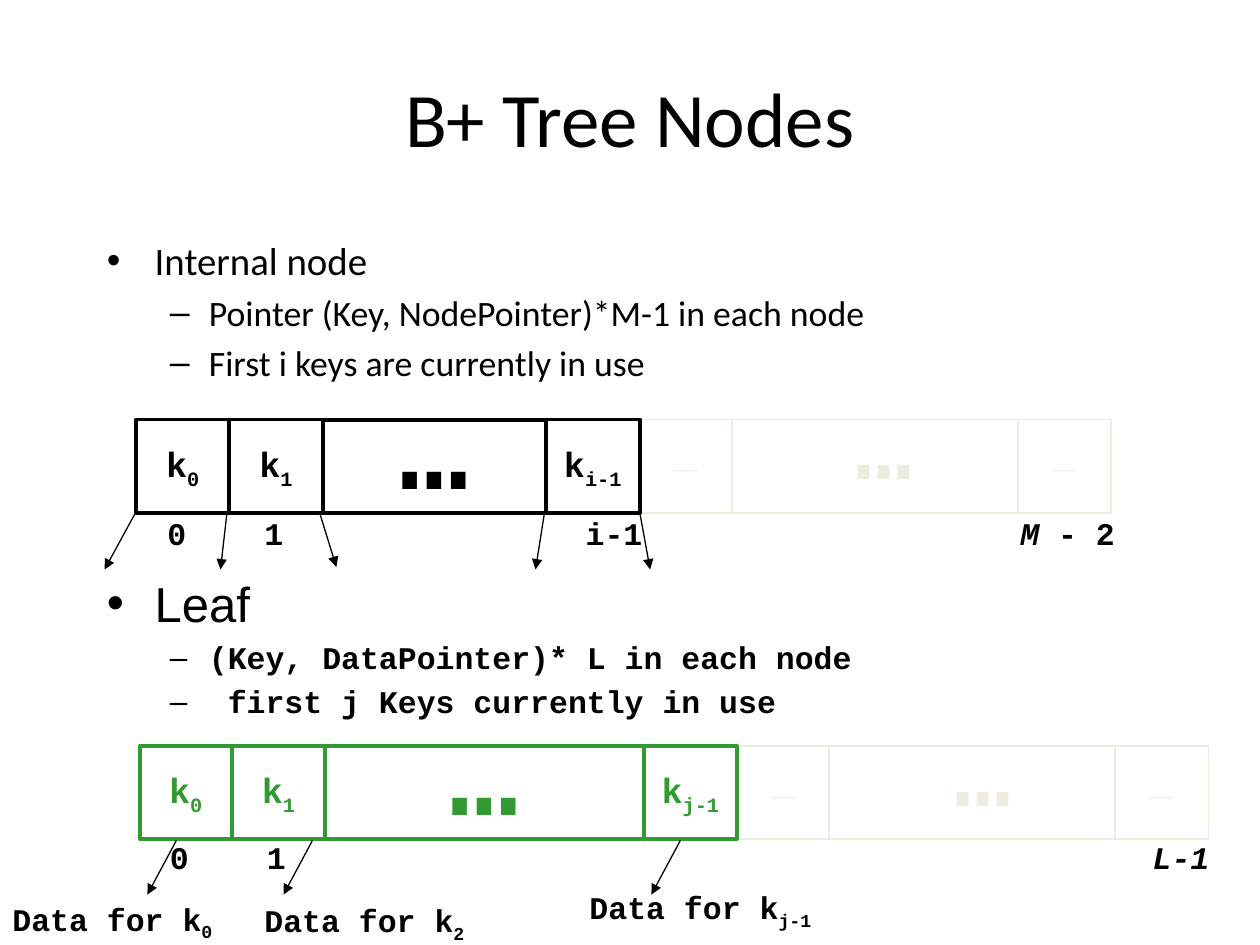
from itertools import pairwise

from lxml.etree import SubElement
from pptx import Presentation
from pptx.dml.color import RGBColor
from pptx.enum.shapes import MSO_CONNECTOR, MSO_SHAPE
from pptx.enum.text import MSO_ANCHOR, PP_ALIGN
from pptx.oxml.ns import qn
from pptx.util import Inches, Pt

COLORS = {"ink": "000000", "leaf": "339933", "unused": "EEECE1"}
MONO = "Courier New"
CELL_HEIGHT = 0.74

TITLE = "B+ Tree Nodes"

# Each bullet: level, text, font, size, bold
BULLET_LISTS = [
    ((0.75, 1.83, 9, 1.17), [
        (0, "Internal node", "Calibri", 22.2, False),
        (1, "Pointer (Key, NodePointer)*M-1 in each node", "Calibri", 20.4, False),
        (1, "First i keys are currently in use", "Calibri", 20.4, False),
    ]),
    ((0.75, 4.5, 8.5, 1.17), [
        (0, "Leaf", "Arial", 28, False),
        (1, "(Key, DataPointer)* L in each node", MONO, 18, True),
        (1, " first j Keys currently in use", MONO, 18, True),
    ]),
]
BULLETS = [("•", 0.38, 0.38), ("–", 0.81, 0.31)]  # character, indent, hanging

# Each cell: key subscript, "…" for a gap or "__" for an unused slot; then the
# sides drawn over its outline: Left, Right, Top, Bottom
NODES = [
    {"top": 3.33, "color": "ink", "unused_line": 1,
     "used": [("0", "LRB"), ("1", ""), ("…", "LRTB"), ("i-1", "")],
     "edges": [1.08, 1.82, 2.56, 4.33, 5.08, 5.81, 8.08, 8.82]},
    {"top": 5.92, "color": "leaf", "unused_line": 0.75,
     "used": [("0", "LTB"), ("1", "LTB"), ("…", "LTB"), ("j-1", "LRTB")],
     "edges": [1.11, 1.84, 2.58, 5.11, 5.85, 6.58, 8.85, 9.59]},
]
UNUSED = [("__", "LRTB"), ("…", "TB"), ("__", "LRTB")]

# Each label: left, top, width, runs of (text, format)
ITALIC = {"italic": True}
LABELS = [
    (1.23, 4.03, 0.35, [("0", {})]),
    (2, 4.03, 0.35, [("1", {})]),
    (4.55, 4.03, 0.66, [("i-1", {})]),
    (8, 4.03, 0.97, [("M ", ITALIC), ("- 2", {})]),
    (1.25, 6.6, 0.35, [("0", {})]),
    (2.02, 6.6, 0.35, [("1", {})]),
    (9.05, 6.6, 0.67, [("L-1", ITALIC)]),
]
DATA_LABELS = [(0, 7.09, 1.82, "0"), (2, 7.1, 1.82, "2"), (4.58, 7, 2.02, "j-1")]

NODE_POINTERS = [  # x at the node, x and y at the arrowhead
    (1.07, 0.83, 4.52), (1.8, 1.75, 4.52), (2.54, 2.67, 4.5),
    (4.32, 4.25, 4.52), (5.08, 5.16, 4.52),
]
DATA_POINTERS = [(x, x - 0.23, 7.1) for x in (1.4, 2.48, 5.4)]


def add_run(paragraph, text, color="ink", baseline=0, **format_values):
    run = paragraph.add_run()
    run.text = text
    values = {"name": MONO, "size": 18, "bold": True} | format_values
    values["size"] = Pt(values["size"])
    for attribute, value in values.items():
        setattr(run.font, attribute, value)
    run.font.color.rgb = RGBColor.from_string(COLORS[color])
    if baseline:
        run.font._element.set("baseline", str(baseline * 1000))


def add_text_box(slide, left, top, width, height, wrap=True):
    box = slide.shapes.add_textbox(*map(Inches, (left, top, width, height)))
    box.text_frame.word_wrap = wrap
    return box.text_frame


def add_title(slide):
    frame = add_text_box(slide, 0.5, 0.3, 9, 1.25)
    frame.vertical_anchor = MSO_ANCHOR.MIDDLE
    paragraph = frame.paragraphs[0]
    paragraph.alignment = PP_ALIGN.CENTER
    add_run(paragraph, TITLE, name="Calibri", size=44, bold=False)


def add_bullet_list(slide, box, items):
    frame = add_text_box(slide, *box)
    for index, (level, text, font, size, bold) in enumerate(items):
        paragraph = frame.add_paragraph() if index else frame.paragraphs[0]
        paragraph.level = level
        paragraph.space_before = Pt(round(size * 0.2, 1))
        character, indent, hanging = BULLETS[level]
        properties = paragraph._p.get_or_add_pPr()
        properties.set("marL", str(Inches(indent)))
        properties.set("indent", str(-Inches(hanging)))
        SubElement(properties, qn("a:buFont"), typeface="Arial")
        SubElement(properties, qn("a:buChar"), char=character)
        add_run(paragraph, text, name=font, size=size, bold=bold)


def add_line(slide, start_x, start_y, end_x, end_y, color="ink", width=0.75):
    ends = map(Inches, (start_x, start_y, end_x, end_y))
    line = slide.shapes.add_connector(MSO_CONNECTOR.STRAIGHT, *ends)
    line.line.color.rgb = RGBColor.from_string(COLORS[color])
    line.line.width = Pt(width)
    SubElement(line._element.spPr, qn("a:effectLst"))
    return line


def add_sides(slide, left, right, top, sides, color, width):
    """Draw each named side as two halves that meet in its middle."""
    bottom = top + CELL_HEIGHT
    corners = {
        "L": (left, top, left, bottom), "R": (right, top, right, bottom),
        "T": (left, top, right, top), "B": (left, bottom, right, bottom),
    }
    for side in sides:
        x1, y1, x2, y2 = corners[side]
        points = [(x1, y1), ((x1 + x2) / 2, (y1 + y2) / 2), (x2, y2)]
        for start, end in pairwise(points):
            add_line(slide, *start, *end, color, width)


def add_cell(slide, left, right, top, content, color, line_width):
    box = map(Inches, (left, top, right - left, CELL_HEIGHT))
    cell = slide.shapes.add_shape(MSO_SHAPE.RECTANGLE, *box)
    cell.shadow.inherit = False
    cell.fill.background()
    cell.line.color.rgb = RGBColor.from_string(COLORS[color])
    cell.line.width = Pt(line_width)
    frame = cell.text_frame
    frame.word_wrap = False
    frame.vertical_anchor = MSO_ANCHOR.MIDDLE
    paragraph = frame.paragraphs[0]
    paragraph.alignment = PP_ALIGN.CENTER
    if content == "…":
        size, line_height = (54, 37) if color == "unused" else (66, 53)
        paragraph.line_spacing = Pt(line_height)  # lifts the dots to mid-height
        if color == "unused":
            add_run(paragraph, " ", color, size=16 if line_width == 1 else 20)
        add_run(paragraph, content, color, size=size)
    elif content == "__":
        add_run(paragraph, content, color, baseline=30, size=20)
    else:
        add_run(paragraph, "k", color, size=20)
        add_run(paragraph, content, color, baseline=-25, size=20)


def add_node(slide, node):
    used = [(*cell, node["color"], 2.25) for cell in node["used"]]
    unused = [(*cell, "unused", node["unused_line"]) for cell in UNUSED]
    cells = list(zip(pairwise(node["edges"]), used + unused))
    for (left, right), (content, sides, *look) in reversed(cells):
        add_cell(slide, left, right, node["top"], content, *look)
        add_sides(slide, left, right, node["top"], sides, *look)


def main():
    presentation = Presentation()
    presentation.slide_width, presentation.slide_height = Inches(10), Inches(7.5)
    slide = presentation.slides.add_slide(presentation.slide_layouts[6])

    add_title(slide)
    for box, items in BULLET_LISTS:
        add_bullet_list(slide, box, items)
    for node in NODES:
        add_node(slide, node)

    data_labels = [
        (left, top, width, [("Data for k", {}), (subscript, {"baseline": -25})])
        for left, top, width, subscript in DATA_LABELS
    ]
    for left, top, width, runs in LABELS + data_labels:
        frame = add_text_box(slide, left, top, width, 0.4, wrap=False)
        for text, format_values in runs:
            add_run(frame.paragraphs[0], text, **format_values)

    for start_y, pointers in ((4.08, NODE_POINTERS), (6.67, DATA_POINTERS)):
        for start_x, end_x, end_y in pointers:
            arrow = add_line(slide, start_x, start_y, end_x, end_y)
            SubElement(arrow.line._get_or_add_ln(), qn("a:tailEnd"), type="triangle")

    presentation.save("out.pptx")


if __name__ == "__main__":
    main()
